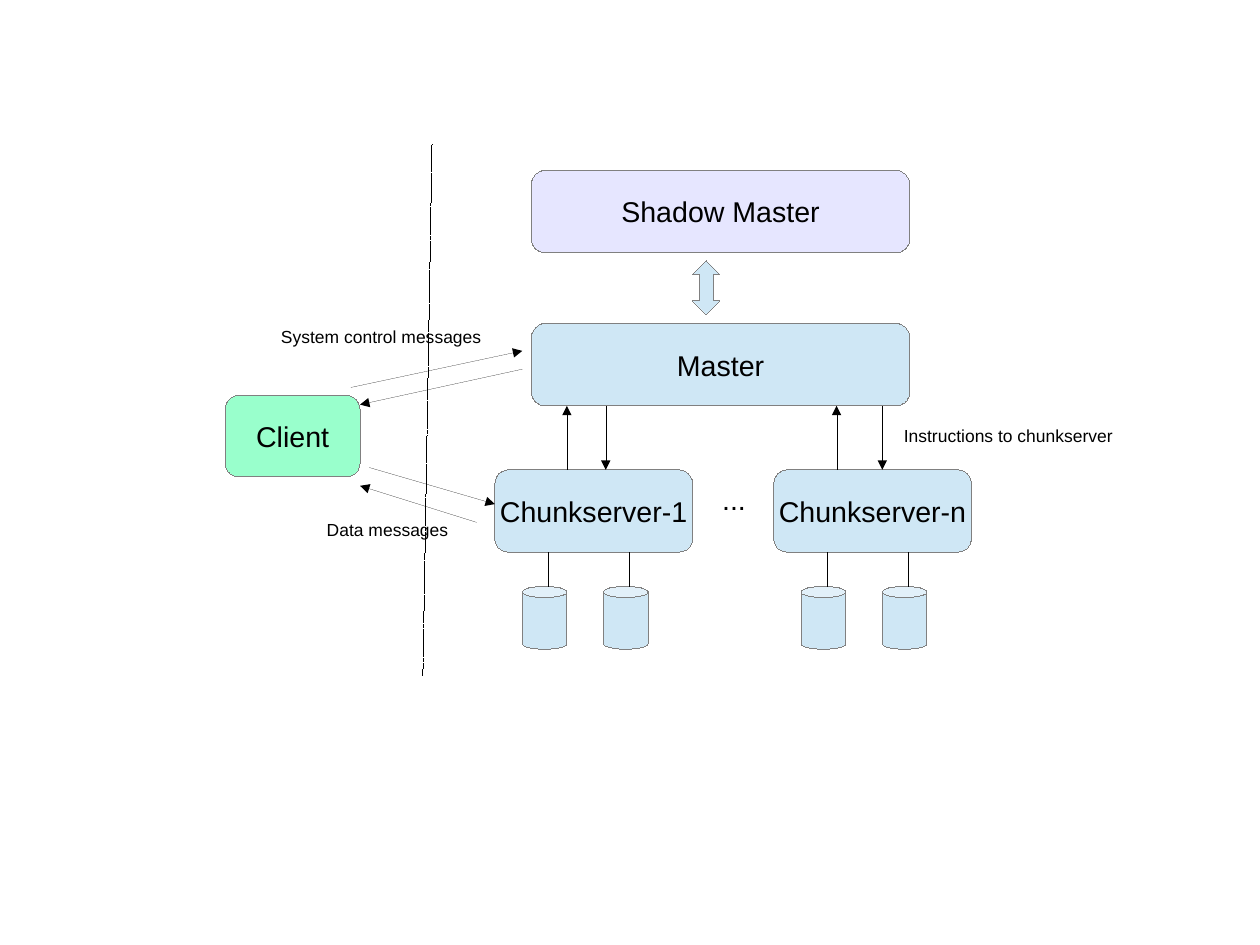
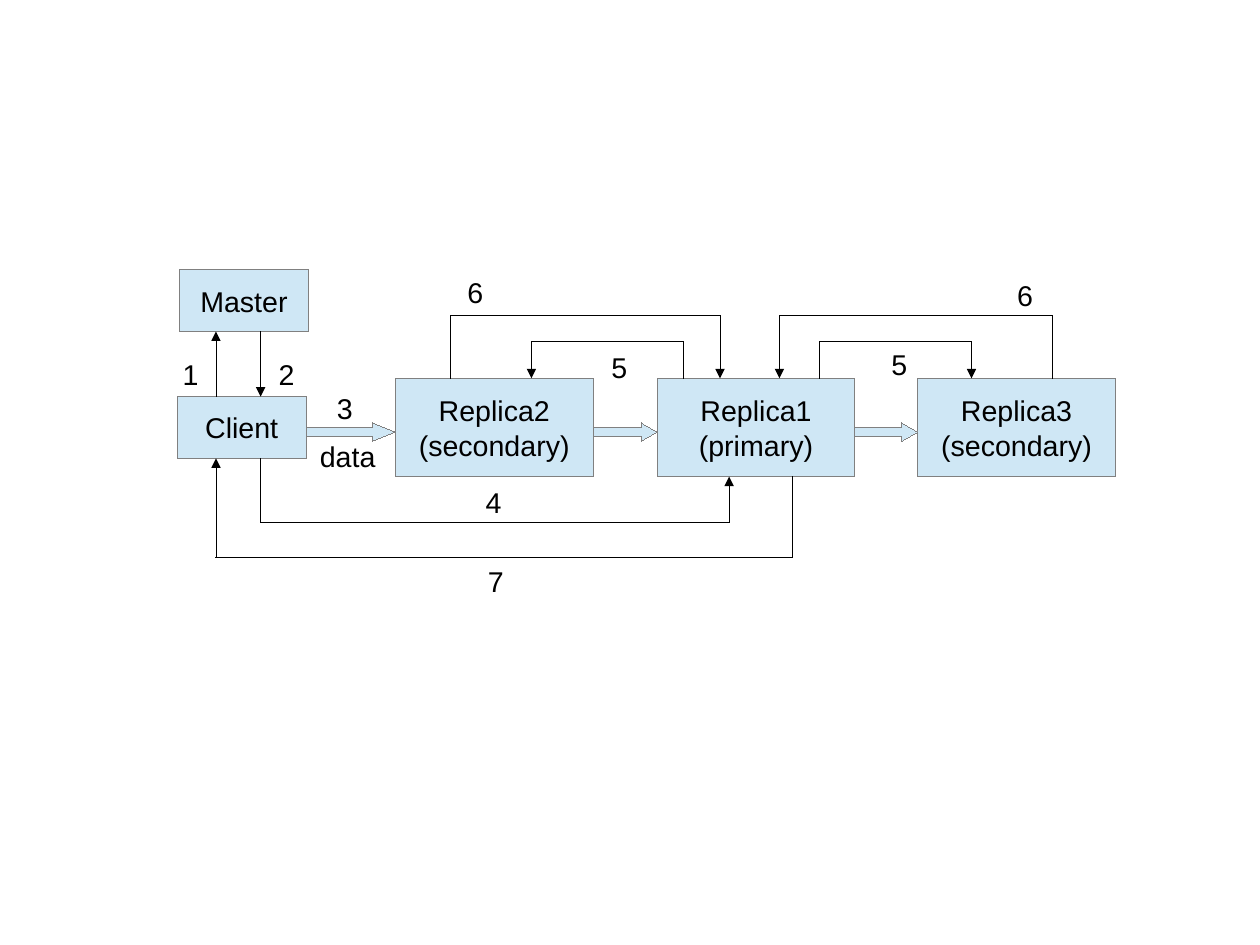
from dataclasses import dataclass
from typing import Optional

from lxml import etree
from pptx import Presentation
from pptx.dml.color import RGBColor
from pptx.enum.dml import MSO_LINE
from pptx.enum.shapes import MSO_CONNECTOR, MSO_SHAPE
from pptx.enum.text import MSO_ANCHOR, MSO_AUTO_SIZE, PP_ALIGN
from pptx.oxml.ns import qn
from pptx.util import Emu, Pt

EMU_PER_PX = 9144  # 100 px to the inch
SLIDE_WIDTH, SLIDE_HEIGHT = Emu(10080625), Emu(7559675)  # 28 by 21 cm
BLANK_LAYOUT = 6

RECTANGLE = MSO_SHAPE.RECTANGLE
ROUNDED = MSO_SHAPE.ROUNDED_RECTANGLE
CAN = MSO_SHAPE.CAN
RIGHT_ARROW = MSO_SHAPE.RIGHT_ARROW
UP_DOWN_ARROW = MSO_SHAPE.UP_DOWN_ARROW
STRAIGHT = MSO_CONNECTOR.STRAIGHT
FINE_DASH = MSO_LINE.SQUARE_DOT
MIDDLE, TOP = MSO_ANCHOR.MIDDLE, MSO_ANCHOR.TOP
CENTER, LEFT = PP_ALIGN.CENTER, PP_ALIGN.LEFT
FIT_TEXT = MSO_AUTO_SIZE.SHAPE_TO_FIT_TEXT

Point = tuple[int, int]


@dataclass(frozen=True)
class Theme:
    font: str = "Arial"
    ink: RGBColor = RGBColor(0x00, 0x00, 0x00)
    outline: RGBColor = RGBColor(0x80, 0x80, 0x80)
    blue: RGBColor = RGBColor(0xCF, 0xE7, 0xF5)
    lavender: RGBColor = RGBColor(0xE6, 0xE6, 0xFF)
    mint: RGBColor = RGBColor(0x99, 0xFF, 0xCC)
    large: int = 18
    small: int = 11


THEME = Theme()


@dataclass(frozen=True)
class Node:
    left: int
    top: int
    width: int
    height: int
    kind: MSO_SHAPE = RECTANGLE
    text: str = ""
    fill: RGBColor = THEME.blue
    adjustments: tuple[float, ...] = ()

    @property
    def right(self) -> int:
        return self.left + self.width

    @property
    def bottom(self) -> int:
        return self.top + self.height


@dataclass(frozen=True)
class Label:
    text: str
    left: int
    top: int
    width: int = 35
    height: int = 38
    size: int = THEME.large


@dataclass(frozen=True)
class Route:
    """A run of straight lines through the points, the last one with an arrowhead."""
    points: tuple[Point, ...]
    arrow: bool = True
    dash: Optional[MSO_LINE] = None


@dataclass(frozen=True)
class Chunkserver:
    name: str
    left: int
    up_x: int
    down_x: int


def px(length: int) -> Emu:
    return Emu(length * EMU_PER_PX)


def set_hairline(line, color: RGBColor):
    """Write the zero width itself, since line.width drops it and the theme width wins."""
    line.color.rgb = color
    outline = line._get_or_add_ln()
    outline.set("w", "0")
    return outline


def write_text(frame, text: str, size: int, alignment: PP_ALIGN) -> None:
    frame.word_wrap = False
    for index, line in enumerate(text.split("\n")):
        paragraph = frame.add_paragraph() if index else frame.paragraphs[0]
        paragraph.alignment = alignment
        run = paragraph.add_run()
        run.text = line
        run.font.name = THEME.font
        run.font.size = Pt(size)
        run.font.color.rgb = THEME.ink


def draw_node(slide, node: Node) -> None:
    shape = slide.shapes.add_shape(
        node.kind, px(node.left), px(node.top), px(node.width), px(node.height))
    shape.shadow.inherit = False
    for index, value in enumerate(node.adjustments):
        shape.adjustments[index] = value
    shape.fill.solid()
    shape.fill.fore_color.rgb = node.fill
    set_hairline(shape.line, THEME.outline)
    if node.text:
        shape.text_frame.vertical_anchor = MIDDLE
        write_text(shape.text_frame, node.text, THEME.large, CENTER)


def draw_label(slide, label: Label) -> None:
    box = slide.shapes.add_textbox(
        px(label.left), px(label.top), px(label.width), px(label.height))
    box.text_frame.vertical_anchor = TOP
    write_text(box.text_frame, label.text, label.size, LEFT)
    box.text_frame.auto_size = FIT_TEXT


def draw_route(slide, route: Route) -> None:
    segments = list(zip(route.points, route.points[1:]))
    for index, (start, end) in enumerate(segments, 1):
        connector = slide.shapes.add_connector(STRAIGHT, *map(px, start + end))
        outline = set_hairline(connector.line, THEME.ink)
        if route.dash is not None:
            connector.line.dash_style = route.dash
        if route.arrow and index == len(segments):
            etree.SubElement(outline, qn("a:tailEnd"), type="triangle")
        etree.SubElement(connector._element.spPr, qn("a:effectLst"))


def draw_all(slide, nodes: list[Node], routes: list[Route], labels: list[Label]) -> None:
    for node in nodes:
        draw_node(slide, node)
    for route in routes:
        draw_route(slide, route)
    for label in labels:
        draw_label(slide, label)


def build_architecture(slide) -> None:
    master = Node(465, 283, 331, 72, ROUNDED, "Master")
    nodes = [
        master,
        Node(465, 149, 331, 72, ROUNDED, "Shadow Master", THEME.lavender),
        Node(197, 346, 118, 71, ROUNDED, "Client", THEME.mint),
        Node(606, 228, 24, 47, UP_DOWN_ARROW, adjustments=(0.4, 0.5)),
    ]
    routes = [
        Route(((307, 339), (457, 307))),
        Route(((457, 323), (315, 354))),
        Route(((323, 409), (433, 441))),
        Route(((417, 457), (315, 425))),
        Route(((378, 126), (370, 591)), arrow=False, dash=FINE_DASH),
    ]
    chunkservers = [
        Chunkserver("Chunkserver-1", 433, 496, 530),
        Chunkserver("Chunkserver-n", 677, 732, 772),
    ]
    for chunkserver in chunkservers:
        server = Node(chunkserver.left, 411, 173, 72, ROUNDED, chunkserver.name)
        nodes.append(server)
        routes += [
            Route(((chunkserver.up_x, server.top), (chunkserver.up_x, master.bottom))),
            Route(((chunkserver.down_x, master.bottom), (chunkserver.down_x, server.top))),
        ]
        for offset in (24, 95):
            disk = Node(server.left + offset, 513, 39, 55, CAN, adjustments=(0.25,))
            stem_x = disk.left + 23
            nodes.append(disk)
            routes.append(Route(((stem_x, server.bottom), (stem_x, disk.top)), arrow=False))
    labels = [
        Label("Instructions to chunkserver", 781, 367, 205, 27, THEME.small),
        Label("System control messages", 236, 280, 198, 27, THEME.small),
        Label("Data messages", 276, 449, 129, 27, THEME.small),
        Label("...", 622, 417, 41),
    ]
    draw_all(slide, nodes, routes, labels)


def block_arrow(left: int, right: int, head: int) -> Node:
    height = 16
    return Node(left, 370, right - left, height, RIGHT_ARROW,
                adjustments=(0.5, head / height))


def build_write_flow(slide) -> None:
    client = Node(155, 347, 113, 54, text="Client")
    master = Node(157, 236, 113, 54, text="Master")
    replica_texts = {
        346: "Replica2\n(secondary)",
        575: "Replica1\n(primary)",
        803: "Replica3\n(secondary)",
    }
    replicas = [Node(left, 331, 173, 86, text=text) for left, text in replica_texts.items()]
    nodes = [client, master, *replicas, block_arrow(client.right, replicas[0].left, 20)]
    nodes += [block_arrow(source.right, target.left, 14)
              for source, target in zip(replicas, replicas[1:])]

    up_x, down_x = 189, 228
    replica_top, replica_bottom = replicas[0].top, replicas[0].bottom
    routes = [
        Route(((up_x, client.top), (up_x, master.bottom))),
        Route(((down_x, master.bottom), (down_x, client.top))),
    ]
    below = [
        (down_x, client.bottom, 457, 638, replica_bottom),
        (693, replica_bottom, 488, up_x, client.bottom),
    ]
    above = [
        (start_x, replica_top, bend_y, end_x, replica_top)
        for start_x, bend_y, end_x in (
            (598, 299, 465), (394, 276, 630), (717, 299, 850), (921, 276, 682))
    ]
    routes += [
        Route(((start_x, start_y), (start_x, bend_y), (end_x, bend_y), (end_x, end_y)))
        for start_x, start_y, bend_y, end_x, end_y in below + above
    ]
    labels = [
        Label("data", 270, 379, 71),
        Label("1", 150, 307),
        Label("2", 234, 307),
        Label("3", 285, 337),
        Label("4", 415, 419),
        Label("5", 525, 301),
        Label("5", 770, 299),
        Label("6", 399, 236),
        Label("6", 880, 238),
        Label("7", 417, 488),
    ]
    draw_all(slide, nodes, routes, labels)


def main() -> None:
    presentation = Presentation()
    presentation.slide_width = SLIDE_WIDTH
    presentation.slide_height = SLIDE_HEIGHT
    for build in (build_architecture, build_write_flow):
        build(presentation.slides.add_slide(presentation.slide_layouts[BLANK_LAYOUT]))
    presentation.save("out.pptx")


if __name__ == "__main__":
    main()
